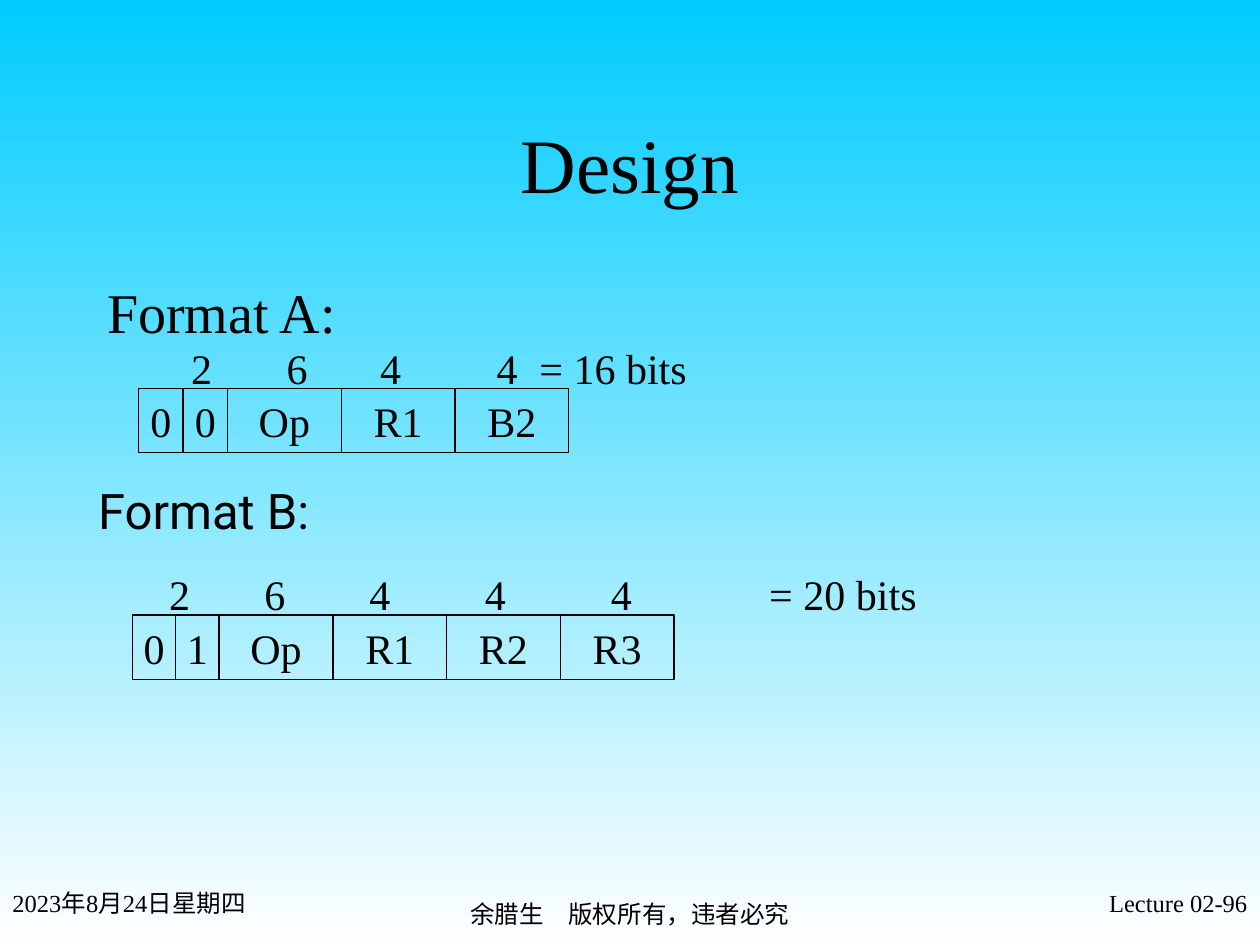
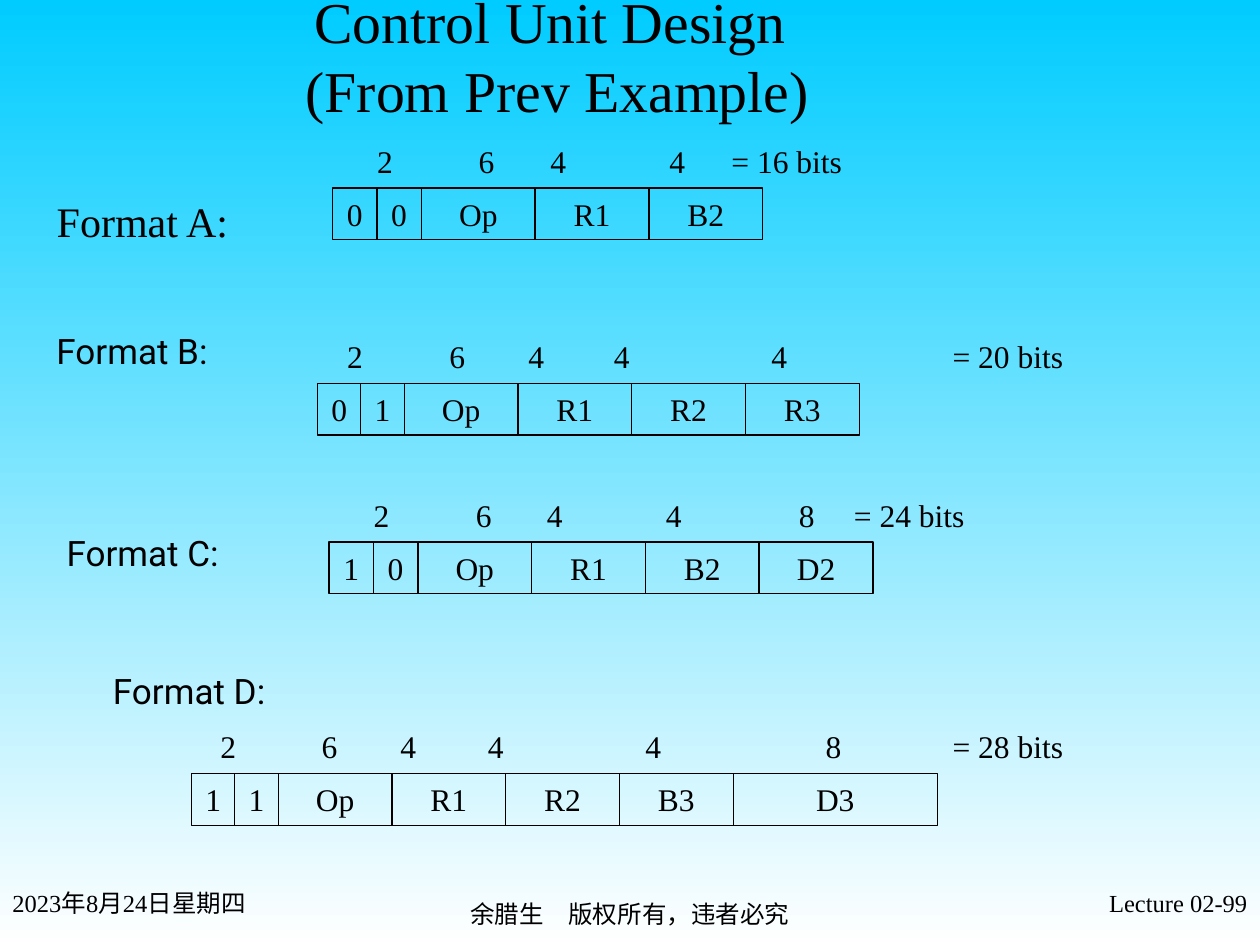
from lxml import etree
from pptx import Presentation
from pptx.dml.color import RGBColor
from pptx.enum.shapes import MSO_SHAPE
from pptx.enum.text import MSO_ANCHOR, MSO_AUTO_SIZE, PP_ALIGN
from pptx.oxml.ns import qn
from pptx.util import Pt

RECT = MSO_SHAPE.RECTANGLE
TOP, MIDDLE = MSO_ANCHOR.TOP, MSO_ANCHOR.MIDDLE
LEFT, CENTER, RIGHT = PP_ALIGN.LEFT, PP_ALIGN.CENTER, PP_ALIGN.RIGHT
NO_AUTOFIT = MSO_AUTO_SIZE.NONE

SKY = RGBColor(0x00, 0xCC, 0xFF)
WHITE = RGBColor(0xFF, 0xFF, 0xFF)
BLACK = RGBColor(0x00, 0x00, 0x00)
SERIF, SANS = "Times New Roman", "Roboto"

WORD_W = 65      # width of a named field
LABEL_RISE = 30  # from the top of the bit counts to the top of the cells


def add_text(p, text, size, font=SERIF, align=LEFT):
    p.alignment = align
    p.space_before = Pt(0)
    for i, line in enumerate(text.split("\n")):
        if i:
            p.add_line_break()
        r = p.add_run()
        r.text = line
        r.font.size = Pt(size)
        r.font.name = font
        r.font.color.rgb = BLACK


def add_box(shapes, box, text, size, font=SERIF, align=LEFT):
    sp = shapes.add_textbox(*map(Pt, box))
    tf = sp.text_frame
    tf.word_wrap = True
    add_text(tf.paragraphs[0], text, size, font, align)
    return sp


def fill_placeholder(sp, box, text, size, anchor, align):
    sp.left, sp.top, sp.width, sp.height = map(Pt, box)
    tf = sp.text_frame
    tf.auto_size = NO_AUTOFIT
    tf.vertical_anchor = anchor
    p = tf.paragraphs[0]
    pPr = p._p.get_or_add_pPr()
    pPr.set("marL", "0")
    pPr.set("indent", "0")
    etree.SubElement(pPr, qn("a:buNone"))
    add_text(p, text, size, align=align)


def add_slide(prs, title, title_box, title_size, body_box, body_size, number):
    """Add a slide with its title, first format heading and footer."""
    s = prs.slides.add_slide(prs.slide_layouts[1])
    fill_placeholder(s.shapes.title, title_box, title, title_size, MIDDLE, CENTER)
    fill_placeholder(s.placeholders[1], body_box, "Format A:", body_size, TOP, LEFT)
    add_box(s.shapes, (0, 504, 150, 36), "2023年8月24日星期四", 14)
    add_box(s.shapes, (246, 510, 228, 30), "余腊生　版权所有，违者必究", 14, align=CENTER)
    add_box(s.shapes, (570, 504, 150, 36), f"Lecture 02-{number}", 14, align=RIGHT)
    return s


def add_cell(shapes, box, text, size):
    sp = shapes.add_shape(RECT, *map(Pt, box))
    sp.shadow.inherit = False
    sp.fill.background()
    sp.line.color.rgb = BLACK
    sp.line.width = Pt(0.75)
    tf = sp.text_frame
    tf.word_wrap = False
    tf.margin_left = tf.margin_right = 0
    tf.vertical_anchor = MIDDLE
    add_text(tf.paragraphs[0], text, size, align=CENTER)


def add_bit_counts(shapes, left, top, counts, total, stops, size):
    """Write the counts centred on tab stops; the total starts at the last stop."""
    box = (left, top, stops[-1] + 110, size * 1.2 + 7.2)
    sp = add_box(shapes, box, "", size)
    tf = sp.text_frame
    tf.margin_left = 0
    p = tf.paragraphs[0]
    tabs = etree.SubElement(p._p.get_or_add_pPr(), qn("a:tabLst"))
    for stop in stops:
        kind = "l" if stop == stops[-1] else "ctr"
        etree.SubElement(tabs, qn("a:tab"), pos=str(int(Pt(stop))), algn=kind)
    p.runs[0].text = "".join(f"\t{n}" for n in counts.split()) + f"\t= {total} bits"


def add_format(s, left, top, bit_w, fields, counts, total, stops, size, last_w=WORD_W):
    """Draw one instruction format: two opcode bits, named fields, bit counts."""
    shapes = s.shapes.add_group_shape().shapes
    add_bit_counts(shapes, left, top - LABEL_RISE, counts, total, stops, size)
    names = fields.split()
    widths = [bit_w] * 2 + [WORD_W] * (len(names) - 3) + [last_w]
    height = size * 1.2 + 8
    x = left
    for name, width in zip(names, widths):
        add_cell(shapes, (x, top, width, height), name, size)
        x += width


def design_slide(prs):
    s = add_slide(prs, "Design", (54, 48, 612, 90), 44, (54, 155, 612, 43), 32, 96)
    add_box(s.shapes, (49, 271, 671, 55), "Format B:", 28, SANS)
    add_format(s, 79.2, 222, 25.4, "0 0 Op R1 B2", "2 6 4 4", 16,
               (36, 90.5, 144, 210.5, 229), 24)
    add_format(s, 75.6, 351.5, 24.8, "0 1 Op R1 R2 R3", "2 6 4 4 4", 20,
               (27, 81.5, 141.5, 207.5, 279.5, 364), 24)


def control_unit_slide(prs):
    s = add_slide(prs, "Control Unit Design \n(From Prev Example)",
                  (119.5, 11, 398, 41), 33, (25.2, 108, 135, 43), 24, 99)
    for letter, left, top in (("B", 25.2, 185), ("C", 31, 300), ("D", 57.5, 379)):
        add_box(s.shapes, (left, top, 152, 55), f"Format {letter}:", 20, SANS)
    add_format(s, 190, 107.5, 25.4, "0 0 Op R1 B2", "2 6 4 4", 16,
               (30, 88, 129, 197, 228), 18)
    add_format(s, 181.4, 219, 24.8, "0 1 Op R1 R2 R3", "2 6 4 4 4", 20,
               (21.5, 80, 125, 174, 264, 363), 18)
    add_format(s, 188, 309.7, 25.4, "1 0 Op R1 B2 D2", "2 6 4 4 8", 24,
               (30, 88.5, 129, 197, 273, 300), 18)
    add_format(s, 109.4, 442, 24.8, "1 1 Op R1 R2 B3 D3", "2 6 4 4 4 8", 28,
               (21, 79, 124, 174, 264, 367, 435), 18, last_w=116.6)


def set_background(prs):
    fill = prs.slide_master.background.fill
    fill.gradient()
    fill.gradient_angle = 270
    for stop, color in zip(fill.gradient_stops, (SKY, WHITE)):
        stop.color.rgb = color


def main():
    prs = Presentation()
    prs.slide_width, prs.slide_height = Pt(720), Pt(540)
    set_background(prs)
    design_slide(prs)
    control_unit_slide(prs)
    prs.save("out.pptx")


if __name__ == "__main__":
    main()
